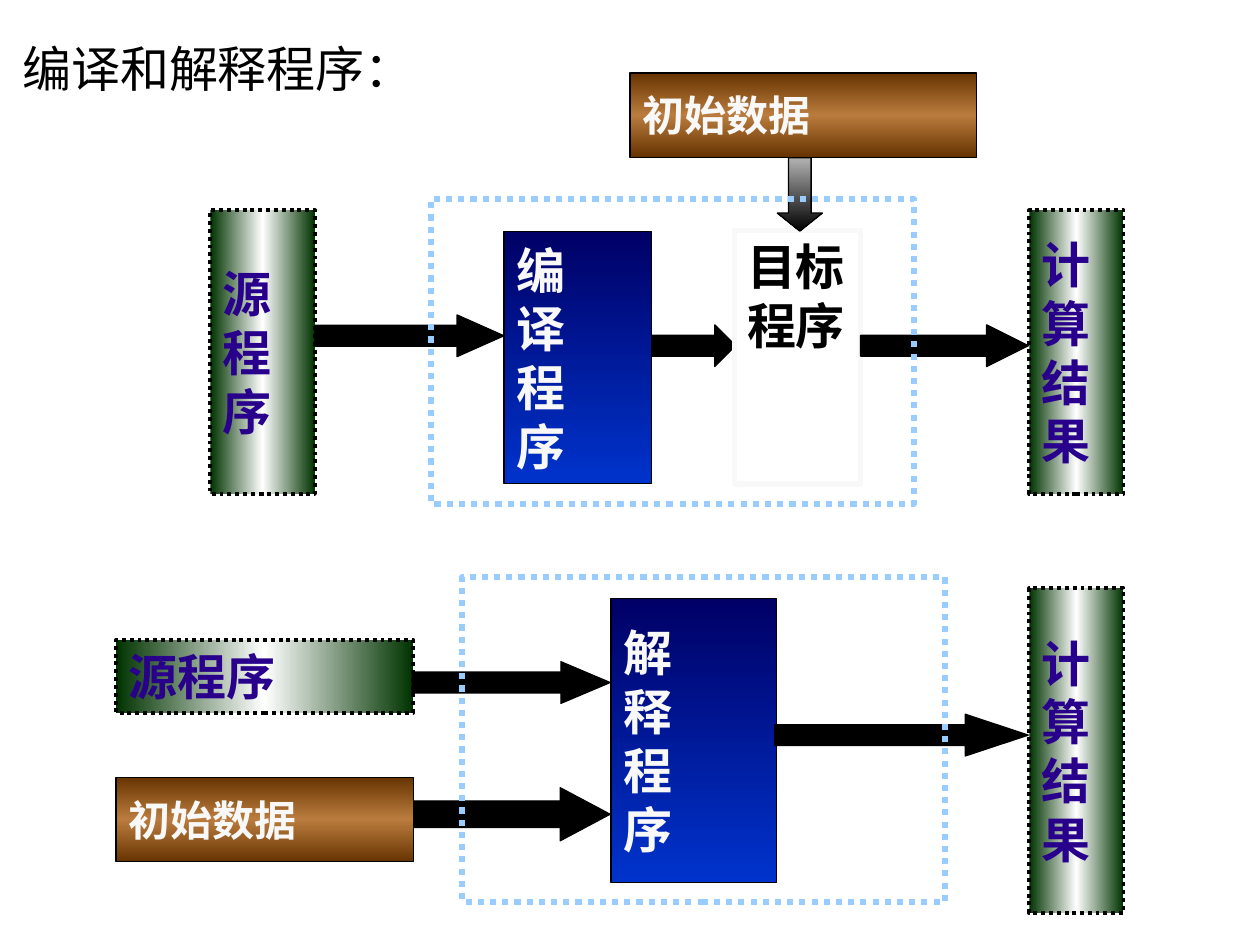
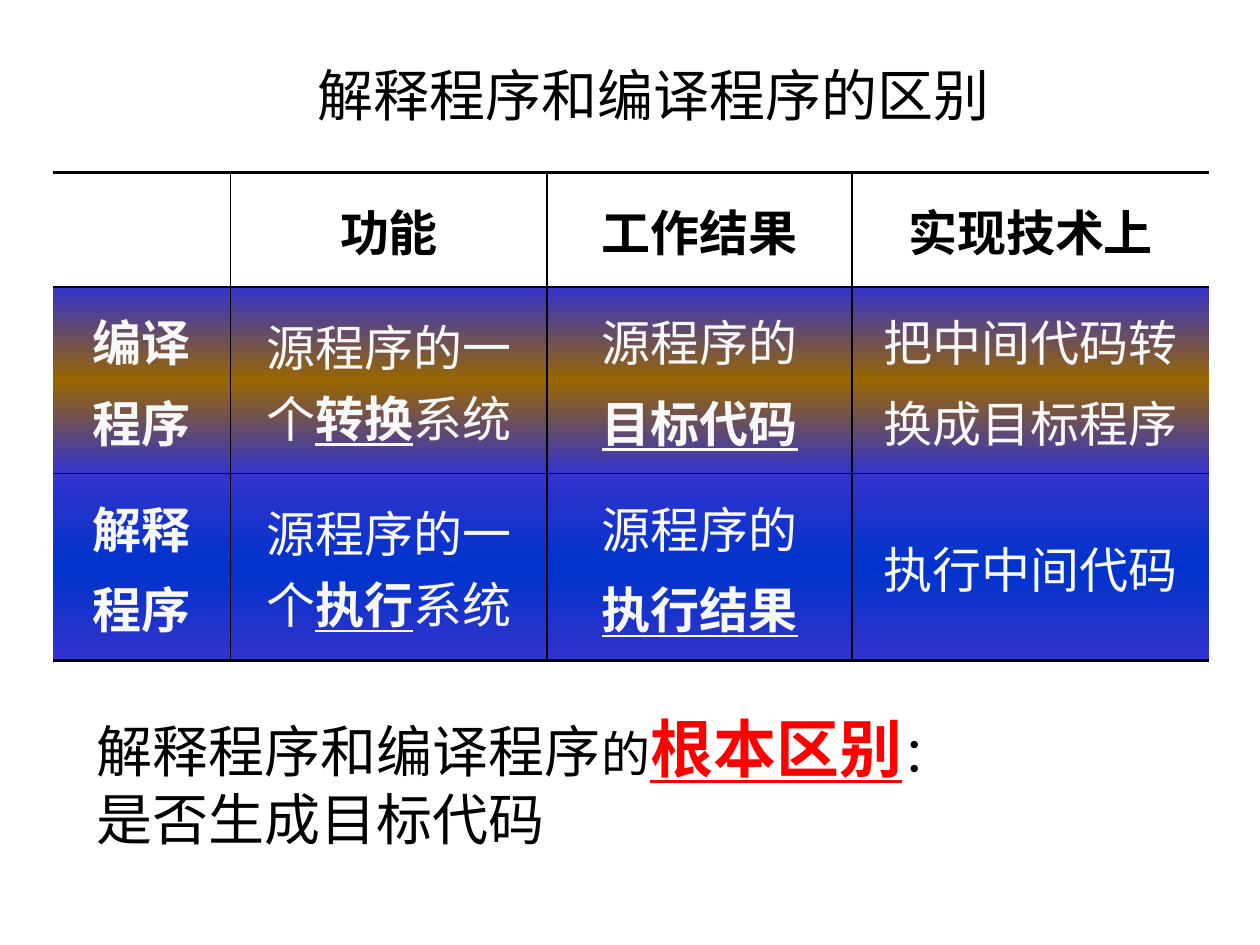
import pptx
import pptx.util
import pptx.dml.color
import pptx.enum.shapes
import pptx.enum.text
import pptx.enum.dml
import pptx.oxml.ns
from lxml import etree

Cm, Pt = pptx.util.Cm, pptx.util.Pt
RGB = pptx.dml.color.RGBColor
SHAPE = pptx.enum.shapes.MSO_SHAPE
ANCHOR = pptx.enum.text.MSO_ANCHOR
ALIGN = pptx.enum.text.PP_ALIGN
DASH = pptx.enum.dml.MSO_LINE
qn = pptx.oxml.ns.qn

BLACK = RGB(0x00, 0x00, 0x00)
WHITE = RGB(0xFF, 0xFF, 0xFF)
PALE = RGB(0xF8, 0xF8, 0xF8)
GREY = RGB(0xB2, 0xB2, 0xB2)
GREEN = RGB(0x00, 0x33, 0x00)
NAVY = RGB(0x00, 0x00, 0x66)
BLUE = RGB(0x00, 0x33, 0xCC)
VIOLET = RGB(0x33, 0x33, 0xCC)
BROWN = RGB(0x66, 0x33, 0x00)
TAN = RGB(0xBA, 0x7C, 0x3E)
GOLD = RGB(0x99, 0x66, 0x00)
INDIGO = RGB(0x28, 0x00, 0x8C)
SKY = RGB(0x99, 0xCC, 0xFF)
RED = RGB(0xFF, 0x00, 0x00)

SANS, SERIF = "Noto Sans CJK SC", "Times New Roman"
STRONG = {"bold": True, "underline": True}

# Kinds of box: gradient stops, angle, line and text format
KINDS = {
    "end": dict(stops=(GREEN, WHITE, GREEN), width=2.25, dash=DASH.ROUND_DOT,
                look={"size": 28, "color": INDIGO, "bold": True}),
    "tool": dict(stops=(NAVY, BLUE), angle=270,
                 look={"size": 28, "color": PALE, "bold": True}),
    "data": dict(form=SHAPE.FLOWCHART_PROCESS, stops=(BROWN, TAN, BROWN), angle=270,
                 look={"size": 24, "color": PALE, "bold": True}),
    "goal": dict(line=PALE, width=3, anchor=ANCHOR.TOP,
                 look={"size": 28, "name": SANS, "bold": True}),
    "frame": dict(line=SKY, width=3.5, dash=DASH.ROUND_DOT),
    "arrow": dict(form=SHAPE.RIGHT_ARROW, stops=(BLACK,)),
    "down": dict(form=SHAPE.DOWN_ARROW, stops=(GREY, BLACK), angle=270),
}


def mark(text):
    """Split a line into runs; text between asterisks is strong."""
    parts = text.split("*")
    return [(part, STRONG if i % 2 else {}) for i, part in enumerate(parts) if part]


class Deck:
    base = {"name": SERIF, "size": 28, "color": BLACK, "bold": False}

    def __init__(self):
        self.prs = pptx.Presentation()
        self.prs.slide_width, self.prs.slide_height = Cm(25.4), Cm(19.05)

    def slide(self):
        self.page = self.prs.slides.add_slide(self.prs.slide_layouts[6])
        self.home = self.page.shapes

    def group(self):
        self.home = self.page.shapes.add_group_shape().shapes

    def paint(self, fill, node, stops, angle=0):
        """Fill with nothing, one colour or an even gradient."""
        if not stops:
            fill.background()
        elif len(stops) == 1:
            fill.solid()
            fill.fore_color.rgb = stops[0]
        else:
            fill.gradient()
            fill.gradient_angle = angle
            row = next(node.iter(qn("a:gsLst")))
            for old in list(row):
                row.remove(old)
            for i, color in enumerate(stops):
                pos = str(100000 * i // (len(stops) - 1))
                stop = etree.SubElement(row, qn("a:gs"), pos=pos)
                etree.SubElement(stop, qn("a:srgbClr"), val=str(color))

    def put(self, frame, lines, look, align=ALIGN.LEFT, lead=1.2, gap=0):
        """Set lines, each a list of (text, format) runs."""
        for i, runs in enumerate(lines):
            para = frame.add_paragraph() if i else frame.paragraphs[0]
            para.alignment = align
            para.space_before = Pt(gap if i else 0)
            sizes = []
            for text, extra in runs:
                run = para.add_run()
                run.text = text
                style = {**self.base, **look, **extra}
                sizes.append(style["size"])
                run.font.color.rgb = style.pop("color")
                style["size"] = Pt(style["size"])
                for key, value in style.items():
                    setattr(run.font, key, value)
                etree.SubElement(run._r.get_or_add_rPr(), qn("a:ea"), typeface=SANS)
            if lead:
                para.line_spacing = Pt(round(lead * max(sizes), 1))

    def text(self, at, lines, look, anchor=ANCHOR.TOP):
        frame = self.home.add_textbox(*map(Cm, at)).text_frame
        frame.word_wrap, frame.vertical_anchor = True, anchor
        self.put(frame, lines, look)

    def box(self, kind, at, text="", adj=()):
        style = KINDS[kind]
        shape = self.home.add_shape(style.get("form", SHAPE.RECTANGLE), *map(Cm, at))
        shape.shadow.inherit = False
        self.paint(shape.fill, shape._element, style.get("stops"), style.get("angle", 0))
        shape.line.color.rgb = style.get("line", BLACK)
        shape.line.width = Pt(style.get("width", 0.75))
        if "dash" in style:
            shape.line.dash_style = style["dash"]
        for i, value in enumerate(adj):
            shape.adjustments[i] = value
        if text:
            frame = shape.text_frame
            frame.word_wrap = True
            frame.vertical_anchor = style.get("anchor", ANCHOR.MIDDLE)
            self.put(frame, [mark(line) for line in text.split("\n")], style["look"])

    def arrow(self, at, head, kind="arrow"):
        self.box(kind, at, adj=(0.5, head))

    def edge(self, cell, widths):
        """Draw cell borders; a width of 0 hides one."""
        for i, (side, width) in enumerate(zip("LRTB", widths)):
            line = etree.Element(qn("a:ln" + side), w=str(int(Pt(width))))
            if width:
                fill = etree.SubElement(line, qn("a:solidFill"))
                etree.SubElement(fill, qn("a:srgbClr"), val=str(BLACK))
            else:
                etree.SubElement(line, qn("a:noFill"))
            cell._tc.get_or_add_tcPr().insert(i, line)

    def table(self, at, cols, rows, cells, bands):
        size = (sum(cols), sum(rows))
        grid = self.home.add_table(len(rows), len(cols), *map(Cm, at + size)).table
        for col, width in zip(grid.columns, cols):
            col.width = Cm(width)
        for row, height in zip(grid.rows, rows):
            row.height = Cm(height)
        for r, line in enumerate(cells):
            for c, text in enumerate(line):
                cell = grid.cell(r, c)
                cell.vertical_anchor = ANCHOR.MIDDLE
                self.paint(cell.fill, cell._tc, bands[r], 270)
                self.edge(cell, (int(c > 0), int(c < len(cols) - 1),
                                 1 if r else 2.25, 1 if r < len(rows) - 1 else 2.25))
                look = {"color": PALE if r else BLACK, "bold": r == 0 or c == 0}
                if text:
                    self.put(cell.text_frame, [mark(t) for t in text.split("\n")],
                             look, ALIGN.CENTER, lead=None, gap=5.6)


def flow(deck):
    deck.slide()
    deck.text((0.2, 0.2, 21.59, 2.34), [mark("编译和解释程序：")],
              {"name": SANS}, ANCHOR.MIDDLE)
    result = "计\n算\n结\n果"

    # Compiler
    deck.group()
    deck.arrow((13.13, 6.55, 1.7, 0.84), 0.5)
    deck.box("goal", (14.81, 4.65, 2.54, 5.11), "目标程序")
    deck.box("end", (4.24, 4.24, 2.11, 5.72), "源\n程\n序")
    deck.box("tool", (10.16, 4.67, 2.97, 5.08), "编\n译\n程\n序")
    deck.arrow((6.35, 6.35, 3.81, 0.84), 1.125)
    deck.arrow((17.35, 6.55, 3.38, 0.84), 1)
    deck.arrow((15.67, 3.18, 0.91, 1.48), 0.4, "down")
    deck.box("data", (12.7, 1.47, 6.98, 1.7), "初始数据")
    deck.box("end", (20.75, 4.24, 1.9, 5.72), result)
    deck.box("frame", (8.69, 4.01, 9.73, 6.15))

    # Interpreter
    deck.group()
    deck.box("end", (2.34, 12.9, 5.99, 1.47), "源程序")
    deck.box("tool", (12.32, 12.07, 3.33, 5.72), "解\n释\n程\n序")
    deck.arrow((15.62, 14.4, 5.11, 0.84), 1.51)
    deck.arrow((8.31, 15.88, 3.99, 1.07), 0.94)
    deck.arrow((8.31, 13.34, 3.99, 0.84), 1.18)
    deck.box("data", (2.34, 15.67, 5.99, 1.7), "初始数据")
    deck.box("end", (20.75, 11.86, 1.9, 6.55), result)
    deck.box("frame", (9.32, 11.63, 9.73, 6.55))


def compare(deck):
    deck.slide()
    cells = [
        ["", "功能", "工作结果", "实现技术上"],
        ["编译\n程序", "源程序的一个*转换*系统", "源程序的\n*目标代码*",
         "把中间代码转\n换成目标程序"],
        ["解释\n程序", "源程序的一个*执行*系统", "源程序的\n*执行结果*", "执行中间代码"],
    ]
    bands = [None, (VIOLET, GOLD, VIOLET), (VIOLET, BLUE, VIOLET)]
    deck.table((1.07, 3.48), (3.58, 6.38, 6.15, 7.19), (2.31, 3.76, 3.76), cells, bands)

    # Heading and conclusion
    deck.text((6.15, 1.09, 14.17, 1.6), [mark("解释程序和编译程序的区别")], {"size": 32})
    deck.text((1.7, 14.17, 22.66, 3.12), [
        [("解释程序和编译程序", {}), ("的", {"size": 28}),
         ("根本区别", {**STRONG, "size": 36, "color": RED}), ("：", {"size": 28})],
        mark("是否生成目标代码"),
    ], {"size": 32})


def main():
    deck = Deck()
    flow(deck)
    compare(deck)
    deck.prs.save("out.pptx")


if __name__ == "__main__":
    main()
